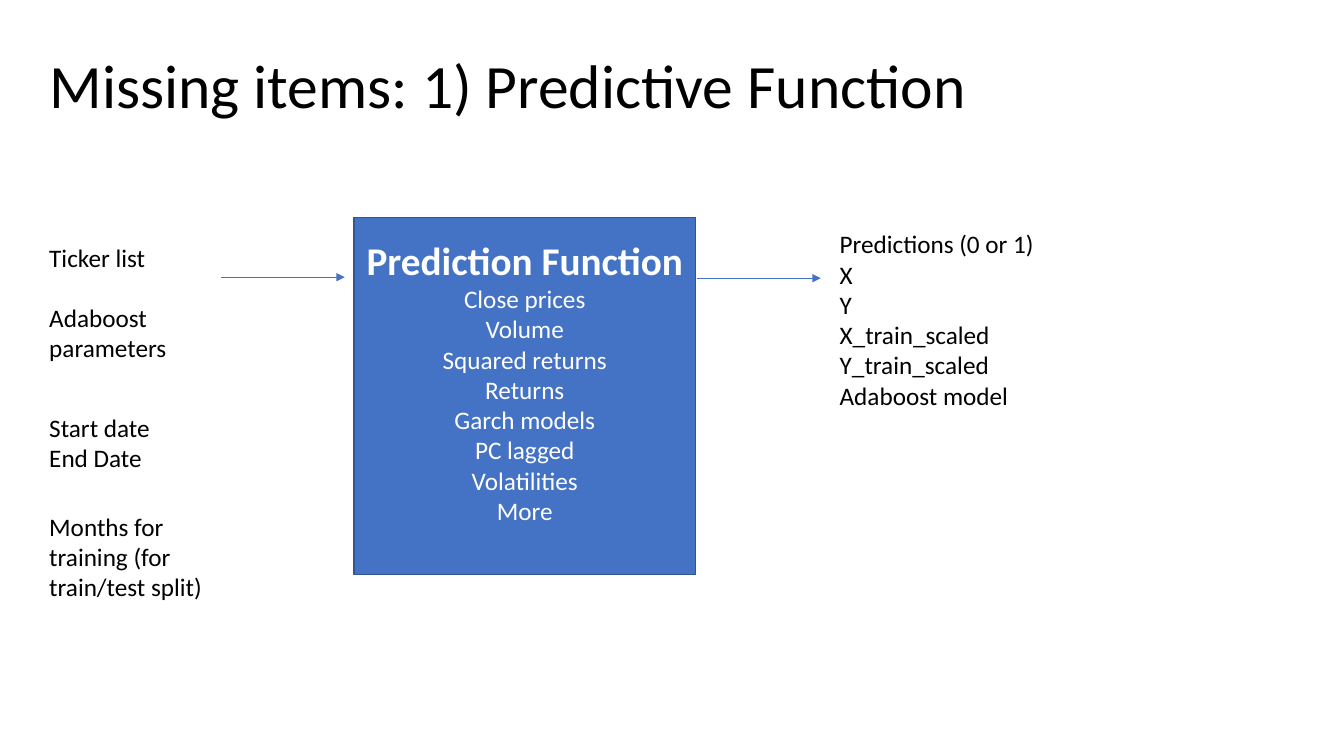
from lxml import etree
from pptx import Presentation
from pptx.dml.color import RGBColor
from pptx.enum.shapes import MSO_CONNECTOR, MSO_SHAPE
from pptx.enum.text import MSO_ANCHOR, MSO_AUTO_SIZE, PP_ALIGN
from pptx.oxml.ns import qn
from pptx.util import Inches, Pt

LEFT, CENTER = PP_ALIGN.LEFT, PP_ALIGN.CENTER
MIDDLE = MSO_ANCHOR.MIDDLE
NO_FIT, GROW = MSO_AUTO_SIZE.NONE, MSO_AUTO_SIZE.SHAPE_TO_FIT_TEXT
STRAIGHT, RECTANGLE = MSO_CONNECTOR.STRAIGHT, MSO_SHAPE.RECTANGLE

BLACK, WHITE, BLUE, DARK_BLUE = "000000", "FFFFFF", "4472C4", "325491"
MARGIN = 0.39
INPUT_WIDTH = 1.8
LINE_HEIGHT = 0.3
BODY_SIZE = 18


def color(value):
    return RGBColor.from_string(value)


def write(frame, lines, ink, align=LEFT):
    """Fill a text frame with one paragraph per (text, size, bold) line."""
    frame.word_wrap = True
    for number, (text, size, bold) in enumerate(lines):
        para = frame.add_paragraph() if number else frame.paragraphs[0]
        para.alignment = align
        span = para.add_run()
        span.text = text
        span.font.name = "Calibri"
        span.font.size = Pt(size)
        span.font.bold = bold
        span.font.color.rgb = color(ink)


deck = Presentation()
deck.slide_width, deck.slide_height = Inches(13.33), Inches(7.5)
page = deck.slides.add_slide(deck.slide_layouts[5])

# Title
title = page.shapes.title
title.left, title.top = Inches(MARGIN), Inches(0.15)
title.width, title.height = Inches(11.5), Inches(1.45)
write(title.text_frame, [("Missing items: 1) Predictive Function", 44, False)], BLACK)
title.text_frame.auto_size = NO_FIT
title.text_frame.vertical_anchor = MIDDLE
title.text_frame.paragraphs[0].line_spacing = 0.9

# Function box, with one line of room kept free below the features
features = ["Close prices", "Volume", "Squared returns", "Returns",
            "Garch models", "PC lagged", "Volatilities", "More"]
function_box = page.shapes.add_shape(
    RECTANGLE, Inches(3.51), Inches(2.16), Inches(3.39), Inches(3.54))
function_box.shadow.inherit = False
function_box.fill.solid()
function_box.fill.fore_color.rgb = color(BLUE)
function_box.line.color.rgb = color(DARK_BLUE)
function_box.line.width = Pt(1)
function_box.text_frame.vertical_anchor = MIDDLE
function_box.text_frame.margin_bottom = Inches(0.05 + LINE_HEIGHT)
write(function_box.text_frame,
      [("Prediction Function", 28, True)]
      + [(feature, BODY_SIZE, False) for feature in features],
      WHITE, CENTER)

# Arrows into and out of the function
for start, y in [(2.19, 2.75), (6.91, 2.76)]:
    arrow = page.shapes.add_connector(
        STRAIGHT, Inches(start), Inches(y), Inches(start + 1.23), Inches(y))
    arrow.line.color.rgb = color(BLUE)
    arrow.line.width = Pt(0.5)
    etree.SubElement(arrow.line._get_or_add_ln(), qn("a:tailEnd"), type="triangle")
    etree.SubElement(arrow._element.spPr, qn("a:effectLst"))

# Inputs on the left, outputs on the right: left, top, width, rows, lines
notes = [
    (MARGIN, 2.35, INPUT_WIDTH, 1, ["Ticker list"]),
    (MARGIN, 2.95, INPUT_WIDTH, 2, ["Adaboost parameters"]),
    (MARGIN, 4.04, INPUT_WIDTH, 2, ["Start date", "End Date"]),
    (MARGIN, 5.02, INPUT_WIDTH, 3, ["Months for training (for train/test split)"]),
    (8.23, 2.22, 2.2, 7, ["Predictions (0 or 1)", "X", "Y", "X_train_scaled",
                          "Y_train_scaled", "Adaboost model"]),
]
for left, top, width, rows, lines in notes:
    box = page.shapes.add_textbox(Inches(left), Inches(top), Inches(width),
                                  Inches(0.1 + rows * LINE_HEIGHT))
    write(box.text_frame, [(line, BODY_SIZE, False) for line in lines], BLACK)
    box.text_frame.auto_size = GROW

deck.save("out.pptx")
